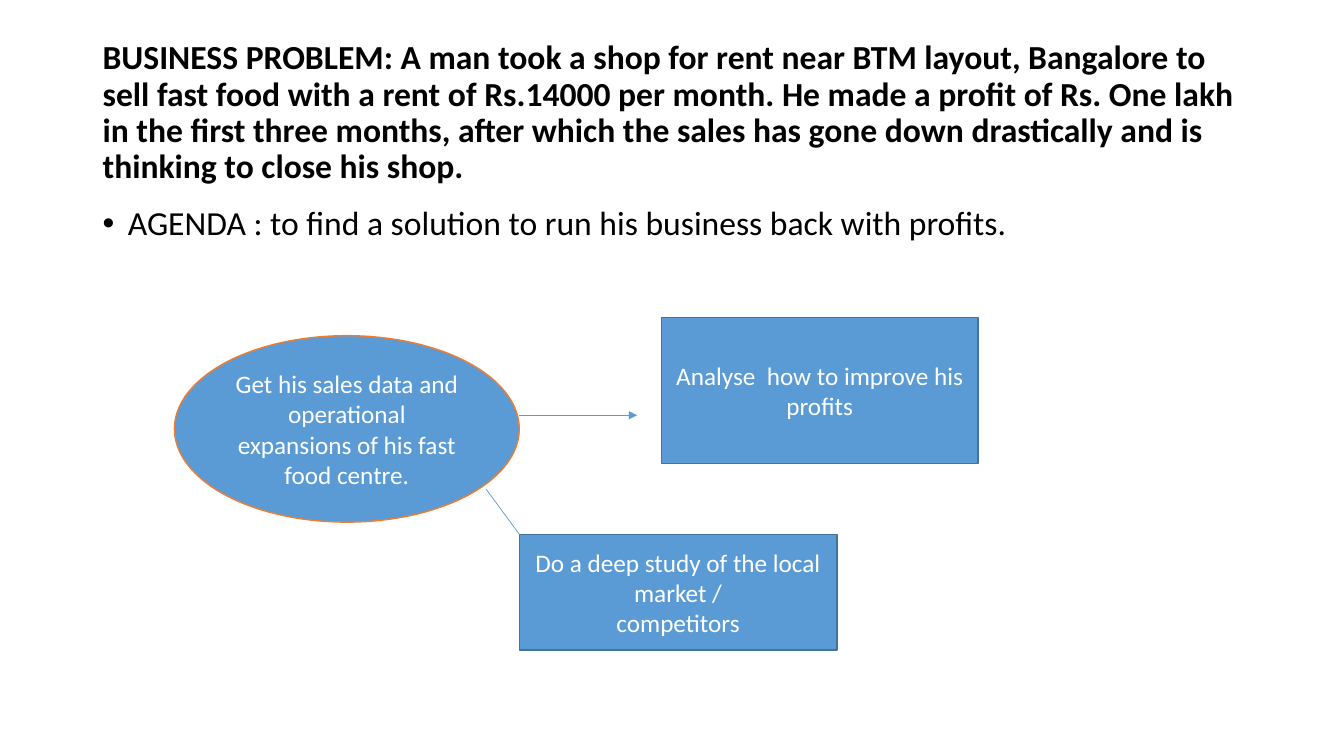
from lxml import etree
from pptx import Presentation
from pptx import util as u
from pptx.dml.color import RGBColor
from pptx.enum import shapes, text
from pptx.oxml.ns import qn

COLORS = {
    "ink": "000000",
    "white": "FFFFFF",
    "blue": "5B9BD5",
    "navy": "43739E",
    "orange": "ED7D31",
}
FONT = "Calibri"


def rgb(name):
    return RGBColor.from_string(COLORS[name])


def inches(values):
    return [u.Inches(value) for value in values]


def format_runs(frame, size, color, bold=False):
    for paragraph in frame.paragraphs:
        for run in paragraph.runs:
            run.font.name = FONT
            run.font.size = u.Pt(size)
            run.font.bold = bold
            run.font.color.rgb = rgb(color)


def add_statement(slide, box, words, anchor, bold=False):
    statement = slide.shapes.add_textbox(*inches(box))
    frame = statement.text_frame
    frame.word_wrap = True
    frame.vertical_anchor = anchor
    frame.text = words
    frame.paragraphs[0].line_spacing = 0.9
    format_runs(frame, 24, "ink", bold)
    return frame.paragraphs[0]


def add_bullet(paragraph):
    paragraph.space_before = u.Pt(10)
    properties = paragraph._p.get_or_add_pPr()
    properties.set("marL", str(u.Inches(0.25)))
    properties.set("indent", str(u.Inches(-0.25)))
    etree.SubElement(properties, qn("a:buFont")).set("typeface", "Arial")
    etree.SubElement(properties, qn("a:buChar")).set("char", "•")


def add_step(slide, kind, box, words, outline):
    step = slide.shapes.add_shape(kind, *inches(box))
    step.shadow.inherit = False
    step.fill.solid()
    step.fill.fore_color.rgb = rgb("blue")
    step.line.color.rgb = rgb(outline)
    step.line.width = u.Pt(1)
    frame = step.text_frame
    frame.word_wrap = True
    frame.vertical_anchor = text.MSO_ANCHOR.MIDDLE
    frame.text = words
    for paragraph in frame.paragraphs:
        paragraph.alignment = text.PP_ALIGN.CENTER
    format_runs(frame, 18, "white")


def add_link(slide, start, end, arrow=False):
    link = slide.shapes.add_connector(
        shapes.MSO_CONNECTOR.STRAIGHT, *inches(start + end))
    link.line.color.rgb = rgb("blue")
    link.line.width = u.Pt(0.5)
    if arrow:
        outline = link.line._get_or_add_ln()
        etree.SubElement(outline, qn("a:tailEnd")).set("type", "triangle")
    etree.SubElement(link._element.spPr, qn("a:effectLst"))


def main():
    deck = Presentation()
    deck.slide_width, deck.slide_height = inches((13.33, 7.5))
    slide = deck.slides.add_slide(deck.slide_layouts[6])

    add_statement(
        slide, (0.92, 0.4, 11.5, 1.45),
        "BUSINESS PROBLEM: A man took a shop for rent near BTM layout, "
        "Bangalore to sell fast food with a rent of Rs.14000 per month. "
        "He made a profit of Rs. One lakh in the first three months, after "
        "which the sales has gone down drastically and is thinking to close "
        "his shop.",
        text.MSO_ANCHOR.MIDDLE, bold=True)
    agenda = add_statement(
        slide, (0.92, 2, 11.5, 4.76),
        "AGENDA : to find a solution to run his business back with profits.",
        text.MSO_ANCHOR.TOP)
    add_bullet(agenda)

    oval = shapes.MSO_SHAPE.OVAL
    rectangle = shapes.MSO_SHAPE.RECTANGLE
    add_step(slide, oval, (1.73, 3.33, 3.42, 1.85),
             "Get his sales data and operational expansions of his fast "
             "food centre.", "orange")
    add_link(slide, (5.15, 4.12), (6.32, 4.12), arrow=True)
    add_step(slide, rectangle, (6.56, 3.15, 3.14, 1.45),
             "Analyse  how to improve his profits", "navy")
    add_step(slide, rectangle, (5.15, 5.3, 3.15, 1.15),
             "Do a deep study of the local market /\ncompetitors", "navy")
    add_link(slide, (4.82, 4.85), (5.15, 5.3))

    deck.save("out.pptx")


main()
